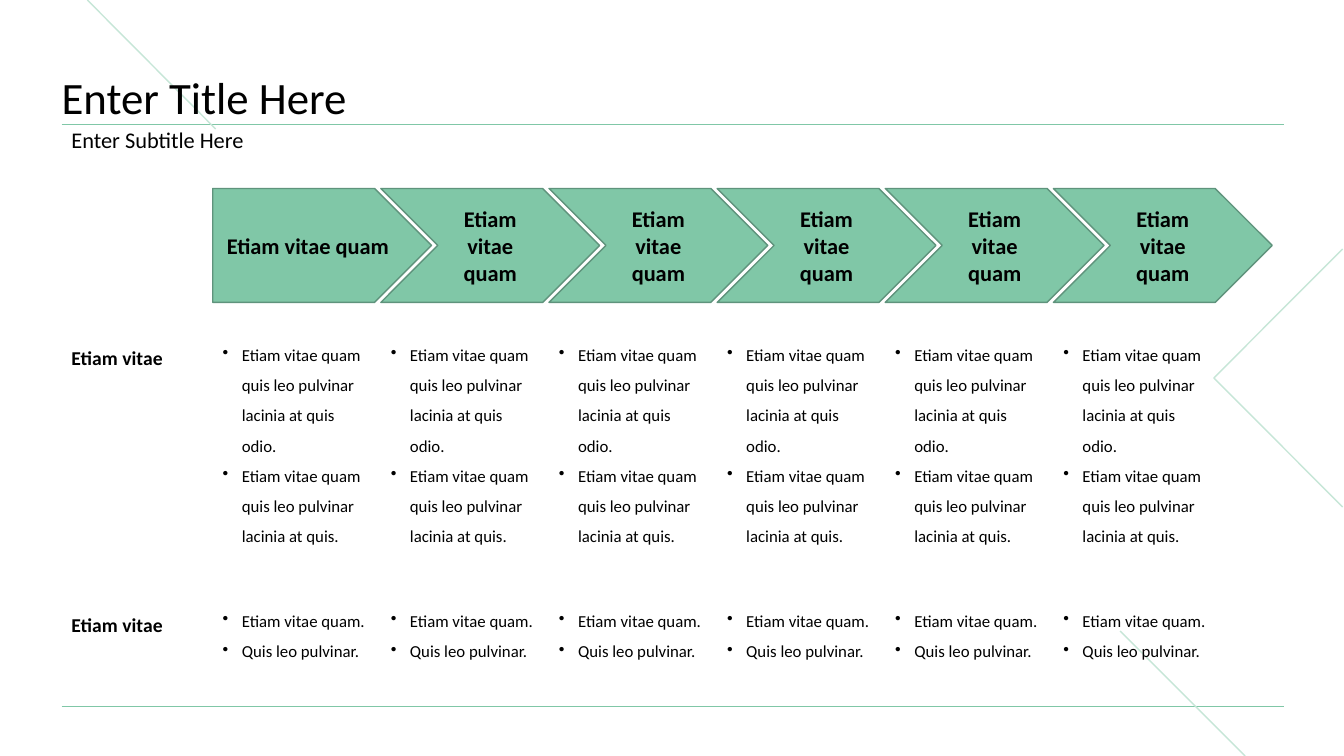
"""Build a process slide with six chevron steps and two rows of details."""
import dataclasses

import pptx
import pptx.dml.color
import pptx.enum.shapes
import pptx.enum.text
import pptx.util
from lxml import etree

SLIDE_WIDTH = pptx.util.Inches(13.33)
SLIDE_HEIGHT = pptx.util.Inches(7.5)
GREEN = pptx.dml.color.RGBColor(0x80, 0xC7, 0xA7)
DARK_GREEN = pptx.dml.color.RGBColor(0x5F, 0x93, 0x7C)
PALE_GREEN = pptx.dml.color.RGBColor(0xC6, 0xE6, 0xD7)
BLACK = pptx.dml.color.RGBColor(0, 0, 0)
FONT = "Calibri"
STEP_COUNT = 6
STEP_TEXT = "Etiam vitae quam"
COLUMN_PITCH = 12.51
DETAIL_ROWS = [
    (43.6, 29.2, "Etiam vitae", [
        "Etiam vitae quam quis leo pulvinar lacinia at quis odio.",
        "Etiam vitae quam quis leo pulvinar lacinia at quis.",
    ]),
    (78.8, 9.07, "Etiam vitae", ["Etiam vitae quam.", "Quis leo pulvinar."]),
]


@dataclasses.dataclass
class Box:
    """Area whose lengths are percentages of the slide's width and height."""

    left: float
    top: float
    width: float
    height: float

    def point(self, across, down):
        """Return the slide position at the given shares of the box."""
        return (
            int(SLIDE_WIDTH * (self.left + across * self.width) / 100),
            int(SLIDE_HEIGHT * (self.top + down * self.height) / 100),
        )

    def frame(self):
        """Return left, top, width and height in slide units."""
        left, top = self.point(0, 0)
        right, bottom = self.point(1, 1)
        return left, top, right - left, bottom - top

    def column(self, index, width):
        """Return the step column with this index."""
        left = self.left + index * COLUMN_PITCH
        return Box(left, self.top, width, self.height)


def write_text(shape, lines, size, bold=False, spacing=1.0):
    """Fill a shape with black paragraphs."""
    text_frame = shape.text_frame
    text_frame.word_wrap = True
    text_frame.text = "\n".join(lines)
    for paragraph in text_frame.paragraphs:
        paragraph.line_spacing = spacing
        for run in paragraph.runs:
            run.font.name = FONT
            run.font.size = pptx.util.Pt(size)
            run.font.bold = bold
            run.font.color.rgb = BLACK
    return text_frame


def add_text(slide, box, lines, size, **style):
    """Add a text box and return its text frame."""
    return write_text(slide.shapes.add_textbox(*box.frame()), lines, size, **style)


def add_line(slide, start, end, color, width):
    """Draw a straight line without a shadow."""
    connector = slide.shapes.add_connector(
        pptx.enum.shapes.MSO_CONNECTOR.STRAIGHT, *start, *end
    )
    connector.line.color.rgb = color
    connector.line.width = pptx.util.Pt(width)
    etree.SubElement(connector._element.spPr, pptx.oxml.ns.qn("a:effectLst"))


def add_bullets(text_frame):
    """Give every paragraph a hanging bullet."""
    indent = pptx.util.Inches(0.19)
    for paragraph in text_frame.paragraphs:
        properties = paragraph._p.get_or_add_pPr()
        properties.set("marL", str(indent))
        properties.set("indent", str(-indent))
        bullet = etree.SubElement(properties, pptx.oxml.ns.qn("a:buChar"))
        bullet.set("char", "\u2022")


def draw_background(slide, box):
    """Draw the rules, the diagonals and the open corner."""
    for height in (0.93467, 0.164):
        height = round(height, 4)
        add_line(slide, box.point(0.0458, height), box.point(0.955, height), GREEN, 0.5)
    for start, end in (
        ((0.8335, 0.8347), (0.9265, 1)),
        ((0.065, 0), (0.1605, 0.1707)),
    ):
        add_line(slide, box.point(*start), box.point(*end), PALE_GREEN, 1)
    builder = slide.shapes.build_freeform(*box.point(0.999, 0.3293))
    builder.add_line_segments(
        [box.point(0.9032, 0.5), box.point(0.999, 0.6707)], close=False
    )
    corner = builder.convert_to_shape()
    corner.shadow.inherit = False
    corner.fill.background()
    corner.line.color.rgb = PALE_GREEN
    corner.line.width = pptx.util.Pt(1)


def draw_heading(slide, box):
    """Place the title above the rule and the subtitle below it."""
    title_height = 0.7 * box.height
    title_box = Box(box.left, box.top, box.width, title_height)
    title = add_text(slide, title_box, ["Enter Title Here"], 32, spacing=0.9)
    title.margin_left = title.margin_right = 0
    title.margin_top = title.margin_bottom = 0
    title.vertical_anchor = pptx.enum.text.MSO_ANCHOR.BOTTOM
    subtitle_box = Box(
        box.left, box.top + title_height, box.width, box.height - title_height
    )
    subtitle = add_text(slide, subtitle_box, ["Enter Subtitle Here"], 16, spacing=0.9)
    subtitle.vertical_anchor = pptx.enum.text.MSO_ANCHOR.MIDDLE


def draw_steps(slide, box):
    """Draw the row of arrows, the first with a flat start."""
    kinds = pptx.enum.shapes.MSO_SHAPE
    step_width = box.width - (STEP_COUNT - 1) * COLUMN_PITCH
    for index in range(STEP_COUNT):
        kind = kinds.CHEVRON if index else kinds.PENTAGON
        step = slide.shapes.add_shape(kind, *box.column(index, step_width).frame())
        step.shadow.inherit = False
        step.fill.solid()
        step.fill.fore_color.rgb = GREEN
        step.line.color.rgb = DARK_GREEN
        step.line.width = pptx.util.Pt(1)
        text_frame = write_text(step, [STEP_TEXT], 16, bold=True)
        text_frame.vertical_anchor = pptx.enum.text.MSO_ANCHOR.MIDDLE
        text_frame.paragraphs[0].alignment = pptx.enum.text.PP_ALIGN.CENTER


def draw_detail_row(slide, box, label, items):
    """Place a row label and one bulleted list under each step."""
    label_box = Box(box.left, box.top, 9.15, 5.6)
    add_text(slide, label_box, [label], 14, bold=True, spacing=1.5)
    lists = Box(box.left + 11.25, box.top, box.width - 11.25, box.height)
    for index in range(STEP_COUNT):
        list_box = lists.column(index, COLUMN_PITCH)
        add_bullets(add_text(slide, list_box, items, 12, spacing=1.5))


def main():
    """Build and save the presentation."""
    presentation = pptx.Presentation()
    presentation.slide_width = SLIDE_WIDTH
    presentation.slide_height = SLIDE_HEIGHT
    slide = presentation.slides.add_slide(presentation.slide_layouts[6])
    draw_background(slide, Box(0, 0, 100, 100))
    draw_heading(slide, Box(4.58, 5.87, 90.92, 15.1))
    draw_steps(slide, Box(15.83, 24.93, 78.83, 15.07))
    for top, height, label, items in DETAIL_ROWS:
        draw_detail_row(slide, Box(4.58, top, 90.92, height), label, items)
    presentation.save("out.pptx")


main()
